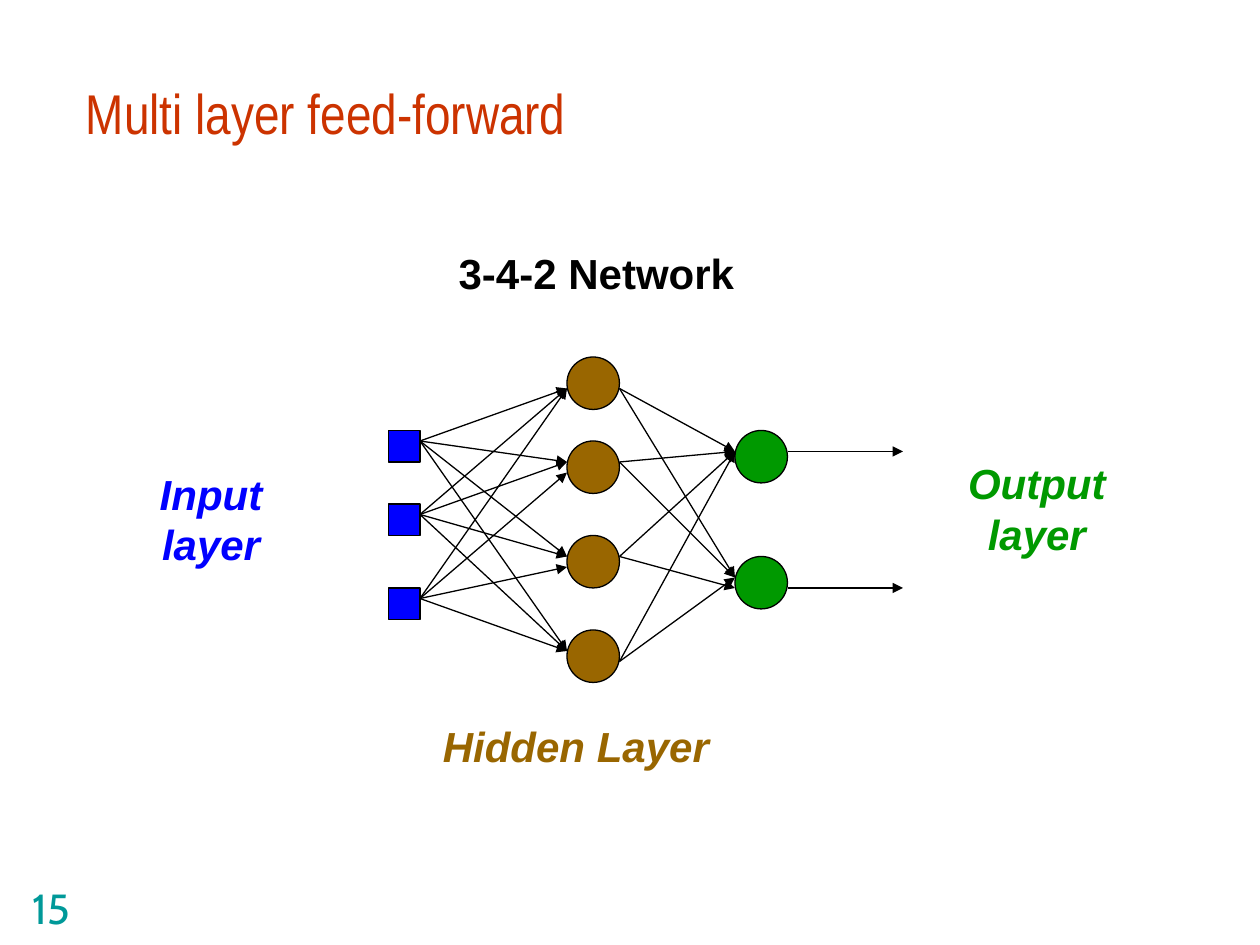
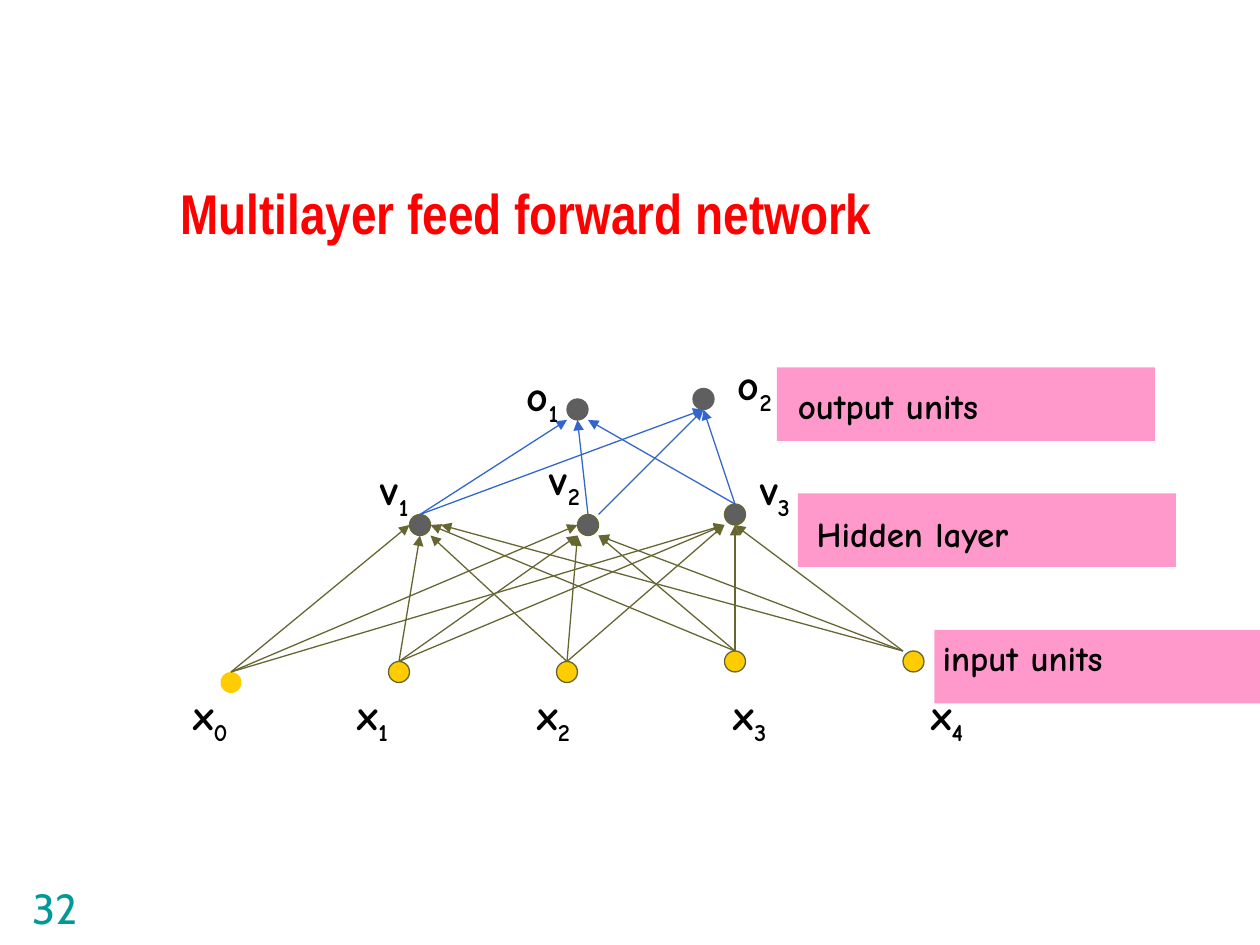
"""Builds two slides about multi-layer feed-forward networks."""
from lxml import etree
from pptx import Presentation
from pptx import util as u
from pptx.dml.color import RGBColor
from pptx.enum import shapes, text
from pptx.oxml import ns

BLACK = RGBColor(0x00, 0x00, 0x00)
BLUE = RGBColor(0x00, 0x00, 0xFF)
GREEN = RGBColor(0x00, 0x99, 0x00)
BROWN = RGBColor(0x99, 0x66, 0x00)
RUST = RGBColor(0xCC, 0x33, 0x00)
RED = RGBColor(0xFF, 0x00, 0x00)
TEAL = RGBColor(0x00, 0x99, 0x99)
PINK = RGBColor(0xFF, 0x99, 0xCC)
GOLD = RGBColor(0xFF, 0xCC, 0x00)
GREY = RGBColor(0x5F, 0x5F, 0x5F)
OLIVE = RGBColor(0x66, 0x66, 0x33)
SKY = RGBColor(0x33, 0x66, 0xCC)

OVAL = shapes.MSO_SHAPE.OVAL
RECT = shapes.MSO_SHAPE.RECTANGLE
LEFT, MID = text.PP_ALIGN.LEFT, text.PP_ALIGN.CENTER
TOP, LOW = text.MSO_ANCHOR.TOP, text.MSO_ANCHOR.BOTTOM

TITLE = {"name": "Arial Narrow", "size": u.Pt(32)}
FOOT = {"name": "Cabin", "size": u.Pt(24)}
HEAD = {"name": "Arial", "size": u.Pt(24), "bold": True}
LAYER = {**HEAD, "italic": True}
UNIT = {"name": "Comic Neue", "size": u.Pt(24), "bold": True}
BAND = {**UNIT, "size": u.Pt(20)}


def step(*counts):
    """Turn counts of the drawing grid, twelve to the inch, into lengths."""
    return [u.Cm(count * 2.54 / 12) for count in counts]


def label(slide, box, lines, style, color, align=LEFT, anchor=TOP, sub=""):
    """Write lines of text in a box, with an optional subscript at the end."""
    frame = slide.shapes.add_textbox(*step(*box)).text_frame
    layout = {"word_wrap": True, "vertical_anchor": anchor}
    for key, value in layout.items():
        setattr(frame, key, value)
    frame.text = lines
    if sub:
        low = frame.paragraphs[-1].add_run()
        low.text = sub
        low._r.get_or_add_rPr().set("baseline", "-25000")
    for para in frame.paragraphs:
        para.alignment = align
        for run in para.runs:
            run.font.color.rgb = color
            for key, value in style.items():
                setattr(run.font, key, value)


def block(slide, kind, box, fill, edge=None):
    """Draw a flat filled shape, outlined only when an edge colour is given."""
    shape = slide.shapes.add_shape(kind, *step(*box))
    shape.shadow.inherit = False
    shape.fill.solid()
    shape.fill.fore_color.rgb = fill
    if edge is None:
        shape.line.fill.background()
    else:
        shape.line.color.rgb = edge
        shape.line.width = u.Pt(0.75)


def arrow(slide, start, end, color):
    """Draw a thin arrow between two grid points."""
    link = slide.shapes.add_connector(shapes.MSO_CONNECTOR.STRAIGHT, *step(*start, *end))
    link.line.color.rgb = color
    link.line.width = u.Pt(0.75)
    etree.SubElement(link.line._get_or_add_ln(), ns.qn("a:tailEnd"), type="triangle")
    etree.SubElement(link._element.spPr, ns.qn("a:effectLst"))


def fan(slide, links, color):
    """Draw arrows from each start point to all of its end points."""
    for start, ends in links.items():
        for end in ends:
            arrow(slide, start, end, color)


def nodes(slide, kind, size, spots, fill, edge):
    """Draw one layer of equal nodes."""
    for x, y in spots:
        block(slide, kind, (x, y, size, size), fill, edge)


def start(deck, title, box, color, number, bold=False):
    """Add a blank slide with its title and page number."""
    slide = deck.slides.add_slide(deck.slide_layouts[6])
    label(slide, box, title, {**TITLE, "bold": bold}, color, anchor=LOW)
    label(slide, (1.9, 83.4, 25, 6), number, FOOT, TEAL, anchor=LOW)
    return slide


def small(deck):
    """Build the slide of the 3-4-2 network."""
    slide = start(deck, "Multi layer feed-forward", (7, 0, 102, 14.5), RUST, "15")
    label(slide, (42.5, 23, 32, 6), "3-4-2 Network", HEAD, BLACK)
    label(slide, (13, 44, 14.2, 10.8), "Input\nlayer", LAYER, BLUE, MID)
    label(slide, (90, 43, 17.5, 10.8), "Output\nlayer", LAYER, GREEN, MID)
    label(slide, (41, 68, 32, 6), "Hidden Layer", LAYER, BROWN)

    nodes(slide, OVAL, 5, [(54, y) for y in (34, 42, 51, 60)], BROWN, BLACK)
    nodes(slide, RECT, 3, [(37, y) for y in (41, 48, 56)], BLUE, BLACK)
    nodes(slide, OVAL, 5, [(70, y) for y in (41, 53)], GREEN, BLACK)

    hidden = {42: (37, 44, 53, 62), 49: (37, 44, 53, 62), 57: (37, 45, 54, 62)}
    output = {37: (43, 55), 44: (43, 55), 53: (43, 56), 63: (43, 55)}
    result = {43: (43,), 56: (56,)}
    for left, right, rows in ((40, 54, hidden), (59, 70, output), (75, 86, result)):
        fan(slide, {(left, y): [(right, end) for end in ends]
                    for y, ends in rows.items()}, BLACK)


def large(deck):
    """Build the slide of the network with named units."""
    slide = start(deck, "Multilayer feed forward network", (16, 9, 96.8, 15), RED, "32", True)
    bands = (
        ("output units", (74, 35, 36, 7), (74.8, 36)),
        ("Hidden layer", (76, 47, 36, 7), (76.6, 48.2)),
        ("input units", (89, 60, 31, 7), (88.6, 60)),
    )
    for name, box, place in bands:
        block(slide, RECT, box, PINK)
        label(slide, (*place, 28, 5.3), name, BAND, BLACK)

    nodes(slide, OVAL, 2, [(21, 64)], GOLD, None)
    nodes(slide, OVAL, 2, [(37, 63), (53, 63), (69, 62), (86, 62)], GOLD, OLIVE)
    nodes(slide, OVAL, 2, [(39, 49), (55, 49), (69, 48)], GREY, OLIVE)
    nodes(slide, OVAL, 2, [(54, 38), (66, 37)], GREY, GREY)

    fan(slide, {
        (22, 64): [(39, 50), (55, 50), (69, 50)],
        (38, 63): [(40, 51), (55, 51), (69, 50)],
        (54, 63): [(41, 51), (55, 51), (69, 50)],
        (70, 62): [(41, 50), (57, 51), (70, 50)],
        (86, 62): [(42, 50), (57, 51), (70, 50)],
    }, OLIVE)
    fan(slide, {
        (40, 49): [(54, 40), (67, 39)],
        (56, 49): [(55, 40)],
        (57, 49): [(67, 39)],
        (70, 48): [(56, 40), (67, 39)],
    }, SKY)

    units = {
        "x": (0, [(17.2, 65), (32.9, 65), (50, 65), (68.7, 65), (87.5, 65)]),
        "v": (1, [(35.1, 43.6), (51.2, 42.6), (71.2, 43.6)]),
        "o": (1, [(49, 34.6), (69.1, 33.6)]),
    }
    for name, (first, spots) in units.items():
        for index, (x, y) in enumerate(spots, first):
            label(slide, (x, y, 8, 6.7), name, UNIT, BLACK, sub=str(index))


def main():
    """Build and save the deck."""
    deck = Presentation()
    deck.slide_width, deck.slide_height = step(120, 90)
    small(deck)
    large(deck)
    deck.save("out.pptx")


if __name__ == "__main__":
    main()
